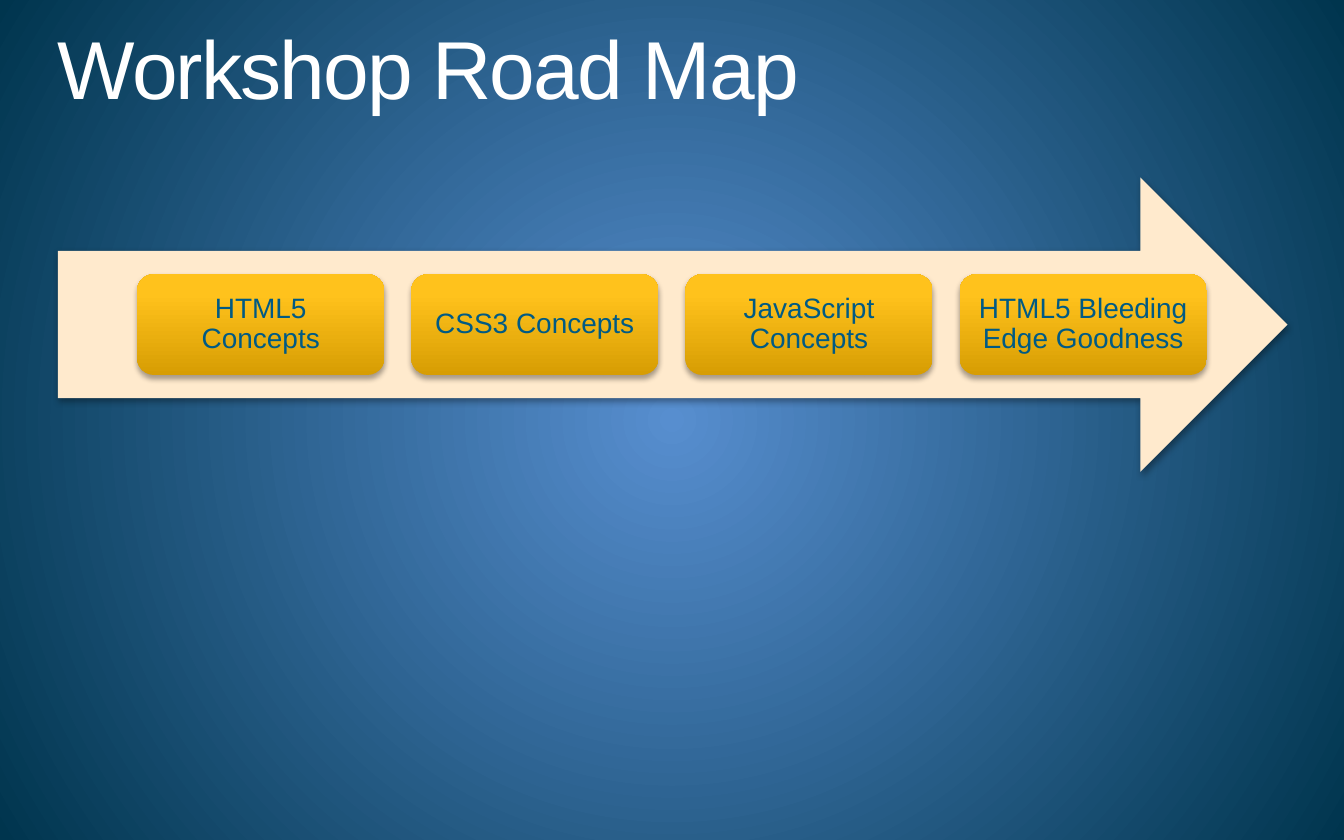
from pptx import Presentation
from pptx.dml.color import RGBColor
from pptx.enum.shapes import MSO_SHAPE as Shape
from pptx.enum.text import MSO_ANCHOR as Anchor, MSO_AUTO_SIZE as AutoSize, PP_ALIGN as Align
from pptx.oxml import parse_xml
from pptx.oxml.ns import nsdecls, qn
from pptx.util import Inches, Pt

WHITE = RGBColor(0xFF, 0xFF, 0xFF)
CREAM = RGBColor(0xFF, 0xEA, 0xCD)
TEAL = RGBColor(0x00, 0x5A, 0x84)
SKY = RGBColor(0x57, 0x8E, 0xCF)
NAVY = RGBColor(0x00, 0x35, 0x4E)
AMBER = RGBColor(0xD7, 0x9D, 0x03)
GOLD = RGBColor(0xFF, 0xC2, 0x1C)
BRIGHT_GOLD = RGBColor(0xFF, 0xC2, 0x1D)

RADIAL = '<a:path path="circle"><a:fillToRect l="50000" t="50000" r="50000" b="50000"/></a:path>'
UPWARD = '<a:lin ang="16200000" scaled="0"/>'
SHADOW = (f'<a:outerShdw {nsdecls("a")} blurRad="{Pt(3.1)}" dist="{Pt(1.8)}" dir="5400000" '
          'rotWithShape="0"><a:srgbClr val="000000"><a:alpha val="35000"/></a:srgbClr></a:outerShdw>')


def paint_gradient(owner, stops, direction):
    solid = next(owner.iter(qn("a:solidFill")))
    marks = "".join(f'<a:gs pos="{at * 1000}"><a:srgbClr val="{color}"/></a:gs>' for at, color in stops)
    gradient = parse_xml(f'<a:gradFill {nsdecls("a")} rotWithShape="1">'
                         f'<a:gsLst>{marks}</a:gsLst>{direction}</a:gradFill>')
    solid.getparent().replace(solid, gradient)


def add_block(kind, left, top, width, height, color):
    block = slide.shapes.add_shape(kind, Inches(left), Inches(top), Inches(width), Inches(height))
    block.fill.solid()
    block.fill.fore_color.rgb = color
    block.line.fill.background()
    block.shadow.inherit = False
    block.element.spPr.find(qn("a:effectLst")).append(parse_xml(SHADOW))
    return block


deck = Presentation()
deck.slide_width, deck.slide_height = Inches(10), Inches(6.25)
slide = deck.slides.add_slide(deck.slide_layouts[5])
slide.background.fill.solid()
slide.background.fill.fore_color.rgb = SKY
paint_gradient(slide.element, [(0, SKY), (100, NAVY)], RADIAL)

heading = slide.shapes.title
for name, value in dict(left=0.43, top=0.21, width=9.15, height=0.68).items():
    setattr(heading, name, Inches(value))
heading.text_frame.text = "Workshop Road Map"
labels = [(heading, Align.LEFT, Anchor.TOP, 0, dict(size=Pt(44), name="Arial"), WHITE)]

add_block(Shape.RIGHT_ARROW, 0.43, 1.32, 9.15, 2.19, CREAM)

STEPS = ["HTML5 Concepts", "CSS3 Concepts", "JavaScript Concepts", "HTML5 Bleeding Edge Goodness"]
for index, topic in enumerate(STEPS):
    step = add_block(Shape.ROUNDED_RECTANGLE, 1.02 + index * 2.04, 2.04, 1.84, 0.75, GOLD)
    paint_gradient(step.element.spPr, [(0, AMBER), (80, GOLD), (100, BRIGHT_GOLD)], UPWARD)
    step.text_frame.text = topic
    labels.append((step, Align.CENTER, Anchor.MIDDLE, 0.1, dict(size=Pt(15), name="Arial"), TEAL))

for owner, align, anchor, inset, font_format, color in labels:
    frame = owner.text_frame
    frame_format = dict(word_wrap=True, auto_size=AutoSize.NONE, vertical_anchor=anchor)
    frame_format.update({f"margin_{side}": Inches(inset) for side in ("left", "top", "right", "bottom")})
    for name, value in frame_format.items():
        setattr(frame, name, value)
    paragraph = frame.paragraphs[0]
    paragraph.alignment = align
    paragraph.line_spacing = 0.9
    font = paragraph.runs[0].font
    for name, value in font_format.items():
        setattr(font, name, value)
    font.color.rgb = color

heading.text_frame.paragraphs[0].runs[0].font._element.set("spc", "-100")

deck.save("out.pptx")
